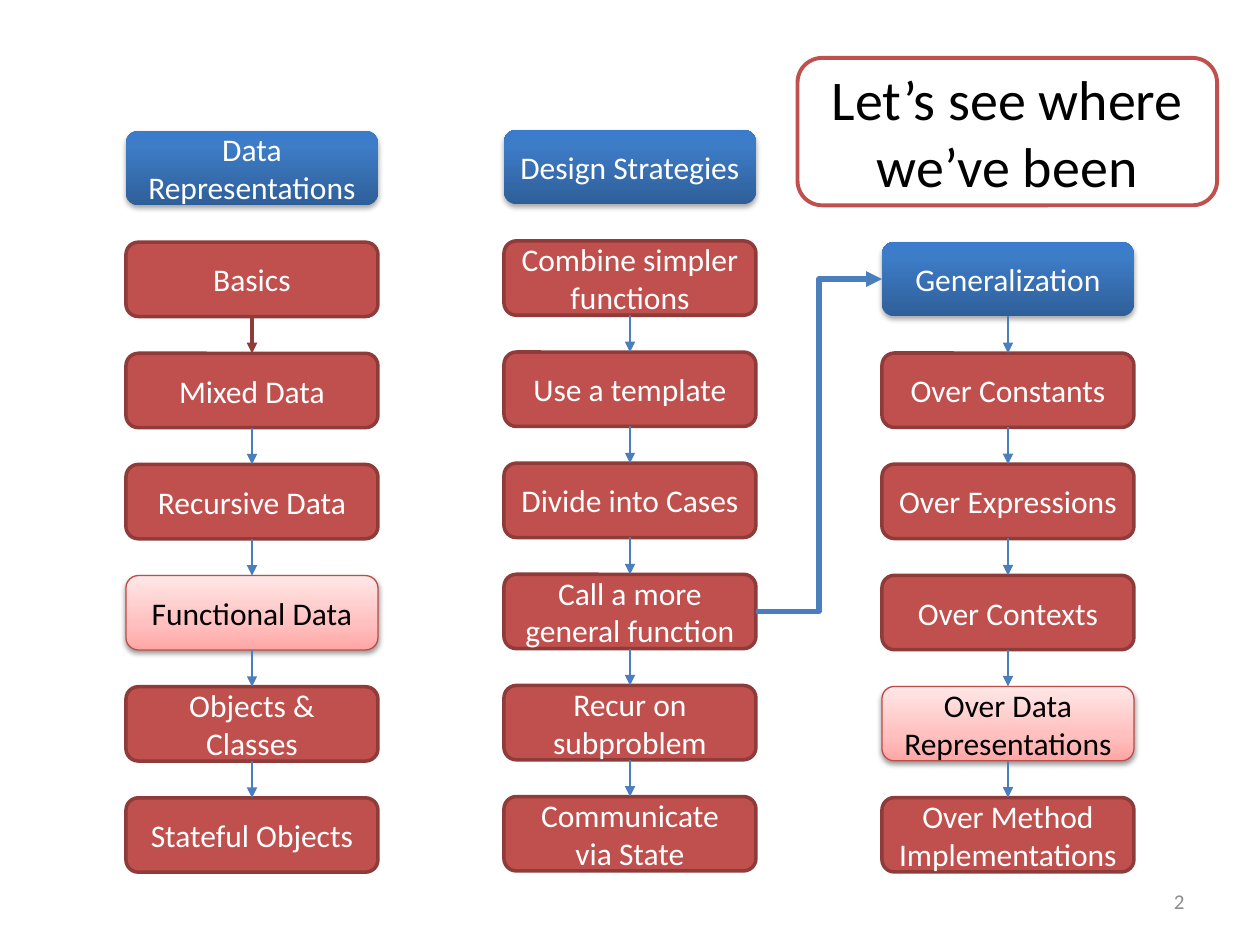
from lxml.etree import SubElement
from pptx import Presentation
from pptx.dml.color import RGBColor
from pptx.enum.shapes import MSO_CONNECTOR, MSO_SHAPE
from pptx.enum.text import MSO_ANCHOR, PP_ALIGN
from pptx.oxml.ns import qn
from pptx.util import Inches, Pt

WHITE = RGBColor(0xFF, 0xFF, 0xFF)
BLACK = RGBColor(0, 0, 0)
GREY = RGBColor(0x8C, 0x8C, 0x8C)
RED = RGBColor(0xC0, 0x50, 0x4D)
DARK = RGBColor(0x8E, 0x3B, 0x39)
ROSE = RGBColor(0xBF, 0x4C, 0x48)
BLUE = RGBColor(0x4B, 0x7E, 0xBC)
NAVY = [(0, RGBColor(0x2F, 0x5F, 0x99)), (80, RGBColor(0x3D, 0x7C, 0xC7)),
        (100, RGBColor(0x3A, 0x7C, 0xCB))]
PINK = [(0, RGBColor(0xFF, 0xA6, 0xA5)), (35, RGBColor(0xFF, 0xC0, 0xBF)),
        (100, RGBColor(0xFF, 0xE7, 0xE7))]

# Content: each column has a left edge, a top edge and its topics
COLUMNS = [
    (1, 1.04, ["Data Representations", "Basics", "Mixed Data", "Recursive Data",
               "Functional Data", "Objects & Classes", "Stateful Objects"]),
    (4, 1.03, ["Design Strategies", "Combine simpler functions", "Use a template",
               "Divide into Cases", "Call a more general function",
               "Recur on subproblem", "Communicate via State"]),
    (7, 1.92, ["Generalization", "Over Constants", "Over Expressions",
               "Over Contexts", "Over Data Representations",
               "Over Method Implementations"]),
]
CURRENT = {"Functional Data", "Over Data Representations"}
UNLINKED = {"Data Representations", "Design Strategies"}
WIDTH, HEIGHT = 2, 0.59
STEP = 0.882  # box height plus gap

deck = Presentation()
deck.slide_width, deck.slide_height = Inches(10), Inches(7.5)
slide = deck.slides.add_slide(deck.slide_layouts[6])


def write(shape, text, size=18, color=WHITE, align=PP_ALIGN.CENTER):
    frame = shape.text_frame
    frame.word_wrap = True
    frame.vertical_anchor = MSO_ANCHOR.MIDDLE
    para = frame.paragraphs[0]
    para.alignment = align
    run = para.add_run()
    run.text = text
    run.font.name, run.font.size = "Calibri", Pt(size)
    run.font.color.rgb = color


def add_box(left, top, width, height):
    box = slide.shapes.add_shape(MSO_SHAPE.ROUNDED_RECTANGLE, Inches(left),
                                 Inches(top), Inches(width), Inches(height))
    box.shadow.inherit = False
    return box


def outline(shape, color, width):
    shape.line.color.rgb = color
    shape.line.width = Pt(width)


def shade(box, stops, alpha, dist):
    """Vertical gradient with a soft shadow below."""
    box.fill.gradient()
    box.fill.gradient_angle = 90
    props = box.element.spPr
    ramp = props.find(qn("a:gradFill")).find(qn("a:gsLst"))
    for stop in list(ramp):
        ramp.remove(stop)
    for place, color in stops:
        stop = SubElement(ramp, qn("a:gs"), pos=str(place * 1000))
        SubElement(stop, qn("a:srgbClr"), val=str(color))
    cast = SubElement(props.find(qn("a:effectLst")), qn("a:outerShdw"),
                      blurRad=str(Pt(3.1)), dist=str(Pt(dist)),
                      dir="5400000", rotWithShape="0")
    tint = SubElement(cast, qn("a:srgbClr"), val="000000")
    SubElement(tint, qn("a:alpha"), val=str(alpha * 1000))


def join(start, end, sides=(2, 0), kind=MSO_CONNECTOR.STRAIGHT,
         color=BLUE, width=0.75):
    arrow = slide.shapes.add_connector(kind, 0, 0, 0, 0)
    arrow.begin_connect(start, sides[0])
    arrow.end_connect(end, sides[1])
    outline(arrow, color, width)
    SubElement(arrow.line._get_or_add_ln(), qn("a:tailEnd"), type="triangle")
    SubElement(arrow.element.spPr, qn("a:effectLst"))


# Columns of topics with arrows between neighbours
boxes = {}
for left, top, topics in COLUMNS:
    for row, topic in enumerate(topics):
        box = boxes[topic] = add_box(left, top + row * STEP, WIDTH, HEIGHT)
        if row == 0:
            shade(box, NAVY, 35, 1.8)
            box.line.fill.background()
        elif topic in CURRENT:
            shade(box, PINK, 38, 1.6)
            outline(box, ROSE, 0.75)
        else:
            box.fill.solid()
            box.fill.fore_color.rgb = RED
            outline(box, DARK, 2)
        write(box, topic, color=BLACK if topic in CURRENT else WHITE)
    for start, end in zip(topics, topics[1:]):
        if start == "Basics":
            join(boxes[start], boxes[end], color=DARK, width=2)
        elif start not in UNLINKED:
            join(boxes[start], boxes[end])

# Link across columns
join(boxes["Call a more general function"], boxes["Generalization"],
     sides=(3, 1), kind=MSO_CONNECTOR.ELBOW, width=3)

# Title
title = add_box(6.33, 0.46, 3.33, 1.17)
title.fill.background()
outline(title, RED, 2.25)
write(title, "Let’s see where we’ve been", size=32, color=BLACK)

# Page number
page = slide.shapes.add_textbox(Inches(7.17), Inches(6.95), Inches(2.33), Inches(0.4))
write(page, "2", size=12, color=GREY, align=PP_ALIGN.RIGHT)

deck.save("out.pptx")
